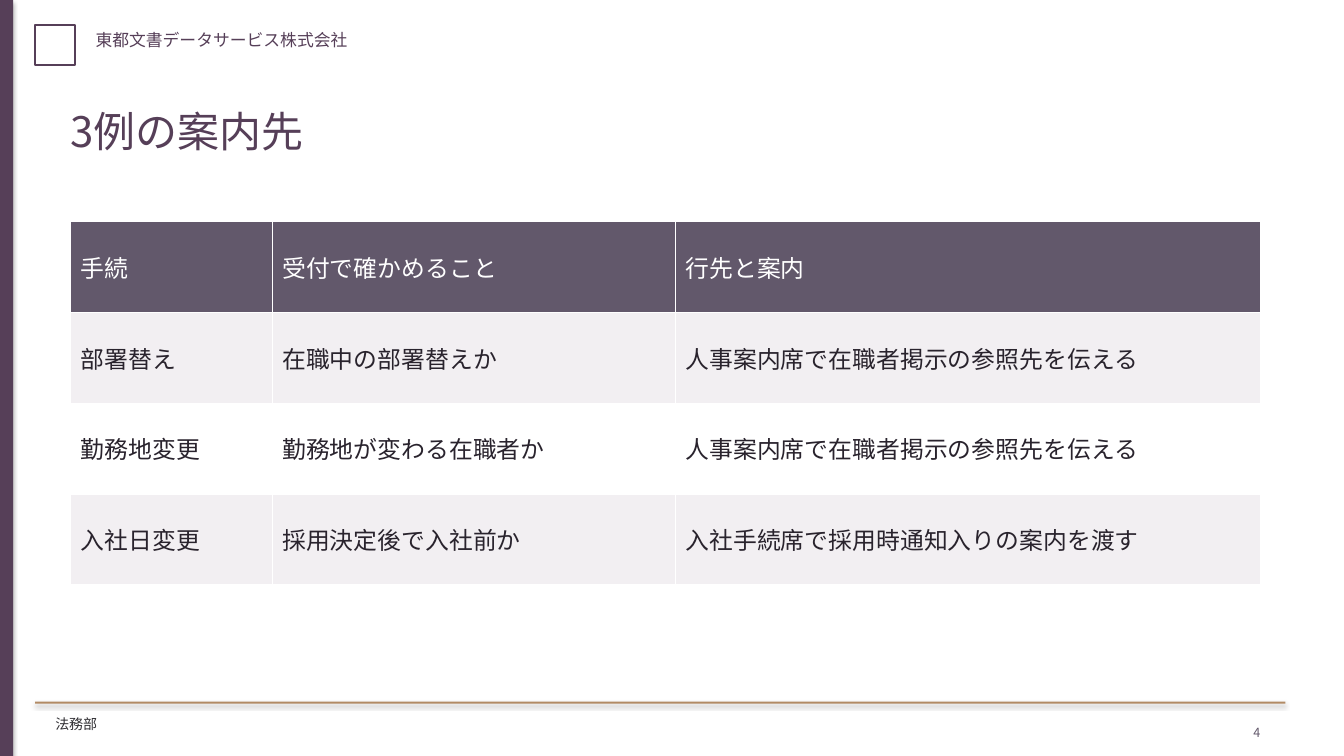
from lxml.etree import SubElement
from pptx import Presentation
from pptx.dml.color import RGBColor
from pptx.enum.shapes import MSO_SHAPE as Preset
from pptx.enum.text import MSO_ANCHOR as Anchor, PP_ALIGN as Align
from pptx.oxml.ns import qn
from pptx.util import Inches, Pt

PURPLE, GOLD, SLATE = "563F58", "B28B65", "62586B"
WHITE, PALE, INK, FOOTER_INK = "FFFFFF", "F2EFF2", "29232D", "302F33"

COLUMN_WIDTHS = [2, 4, 5.8]
ROW_HEIGHT = 0.9
ROWS = [
    ["手続", "受付で確かめること", "行先と案内"],
    ["部署替え", "在職中の部署替えか", "人事案内席で在職者掲示の参照先を伝える"],
    ["勤務地変更", "勤務地が変わる在職者か", "人事案内席で在職者掲示の参照先を伝える"],
    ["入社日変更", "採用決定後で入社前か", "入社手続席で採用時通知入りの案内を渡す"],
]


def rgb(value):
    return RGBColor.from_string(value)


class SlideBuilder:
    font_name = "Noto Sans CJK JP"

    def __init__(self, slide):
        self.slide = slide

    def set_text(self, frame, text, size, color, align=Align.LEFT):
        frame.word_wrap = True
        paragraph = frame.paragraphs[0]
        paragraph.alignment = align
        run = paragraph.add_run()
        run.text = text
        formats = {"name": self.font_name, "size": Pt(size), "bold": False}
        for attribute, value in formats.items():
            setattr(run.font, attribute, value)
        run.font.color.rgb = rgb(color)
        SubElement(run._r.get_or_add_rPr(), qn("a:ea"), typeface=self.font_name)

    def title(self, text, box, size, color):
        shape = self.slide.shapes.title
        for attribute, value in zip(("left", "top", "width", "height"), box):
            setattr(shape, attribute, Inches(value))
        shape.text_frame.vertical_anchor = Anchor.TOP
        self.set_text(shape.text_frame, text, size, color)

    def text(self, text, box, size, color, align=Align.LEFT):
        shape = self.slide.shapes.add_textbox(*map(Inches, box))
        self.set_text(shape.text_frame, text, size, color, align)

    def bar(self, box, color):
        shape = self.slide.shapes.add_shape(Preset.RECTANGLE, *map(Inches, box))
        shape.fill.solid()
        shape.fill.fore_color.rgb = rgb(color)
        shape.line.fill.background()

    def outline(self, box, color, width):
        shape = self.slide.shapes.add_shape(Preset.RECTANGLE, *map(Inches, box))
        shape.shadow.inherit = False
        shape.fill.background()
        shape.line.color.rgb = rgb(color)
        shape.line.width = Pt(width)

    def table(self, rows, left, top, widths, row_height, size):
        box = (left, top, sum(widths), row_height * len(rows))
        table = self.slide.shapes.add_table(
            len(rows), len(widths), *map(Inches, box)).table
        for column, width in zip(table.columns, widths):
            column.width = Inches(width)
        for row_index, texts in enumerate(rows):
            table.rows[row_index].height = Inches(row_height)
            header = row_index == 0
            fill = SLATE if header else PALE if row_index % 2 else WHITE
            for column_index, text in enumerate(texts):
                cell = table.cell(row_index, column_index)
                cell.vertical_anchor = Anchor.MIDDLE
                cell.fill.solid()
                cell.fill.fore_color.rgb = rgb(fill)
                self.set_text(cell.text_frame, text, size, WHITE if header else INK)


def main():
    presentation = Presentation()
    presentation.slide_width = Inches(13.33)
    presentation.slide_height = Inches(7.5)
    slide = presentation.slides.add_slide(presentation.slide_layouts[5])
    builder = SlideBuilder(slide)

    builder.outline((0.35, 0.25, 0.39, 0.4), PURPLE, 1.5)
    builder.bar((0, 0, 0.13, 7.5), PURPLE)
    builder.bar((0.35, 6.96, 12.4, 0.02), GOLD)
    builder.text("東都文書データサービス株式会社", (0.85, 0.25, 10, 0.4), 12, PURPLE)
    builder.text("法務部", (0.45, 7.05, 10, 0.3), 10, FOOTER_INK)
    builder.title("3例の案内先", (0.6, 1, 12, 1), 30, PURPLE)
    builder.table(ROWS, 0.7, 2.2, COLUMN_WIDTHS, ROW_HEIGHT, 17)
    builder.text("4", (12, 7.14, 0.6, 0.2), 9, SLATE, Align.RIGHT)

    presentation.save("out.pptx")


if __name__ == "__main__":
    main()
